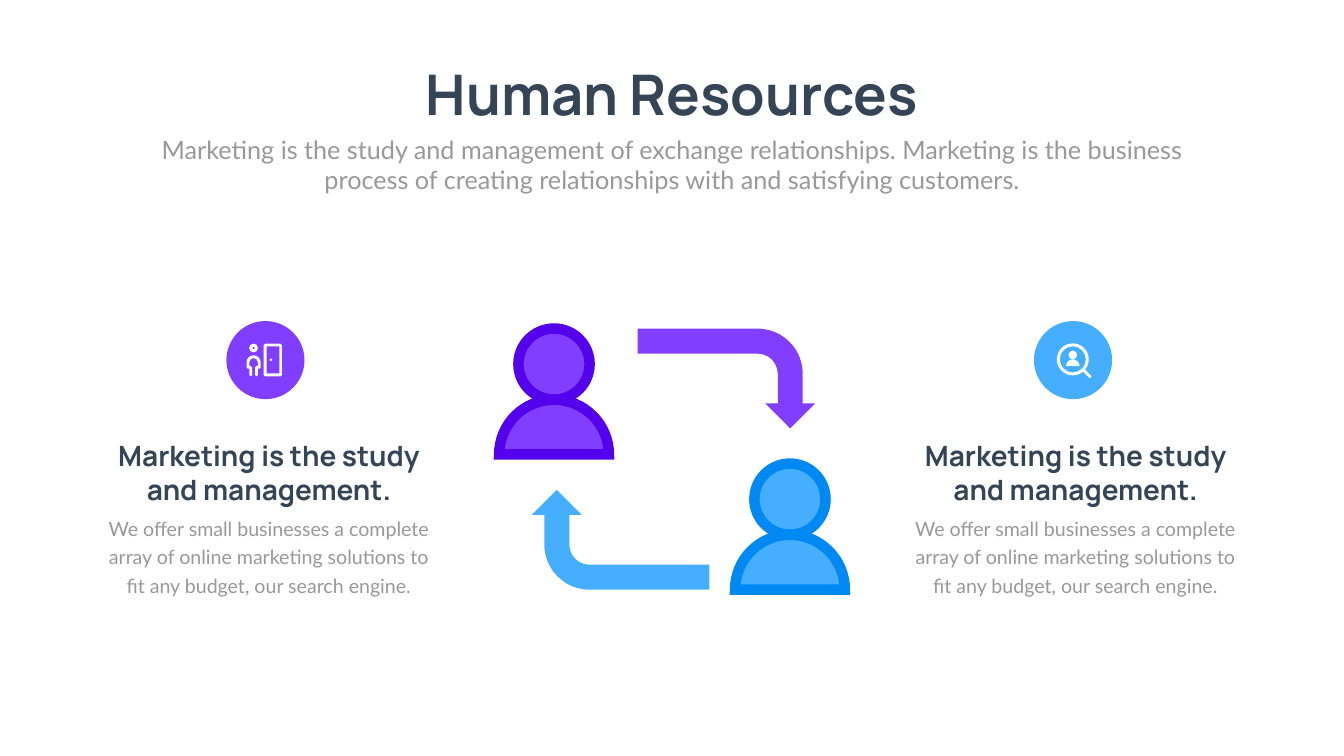
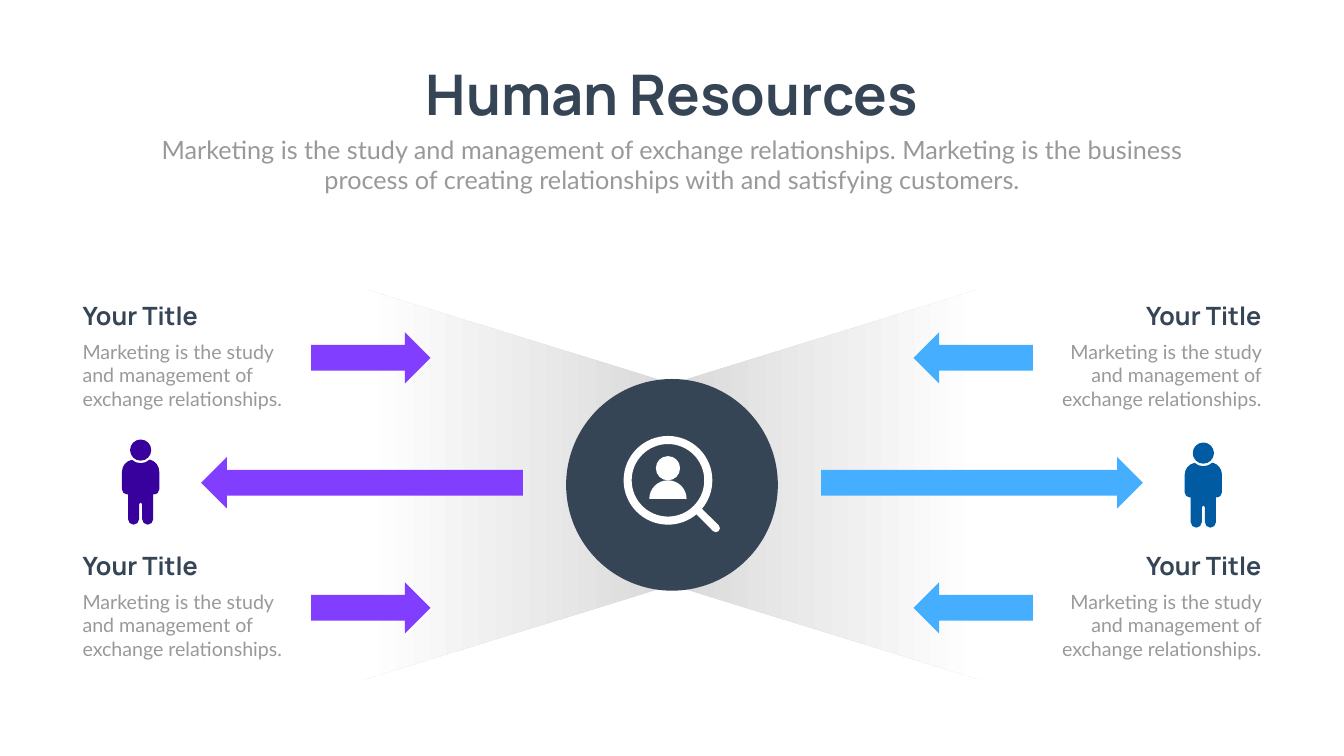
import math
from lxml import etree
from pptx import Presentation
from pptx import util as u
from pptx.dml.color import RGBColor
from pptx.enum import shapes, text
from pptx.oxml.ns import qn

PX = 9144  # EMU per px, 100 px to the inch
NAVY, GREY, WHITE = "364556", "999999", "FFFFFF"
PURPLE, BLUE = "823EFE", "45AEFF"
PURPLE_EDGE, BLUE_EDGE = "5401EC", "0089F3"
PURPLE_DARK, BLUE_DARK = "38019D", "005BA2"
KIND = shapes.MSO_SHAPE
LEFT, CENTER, RIGHT = text.PP_ALIGN.LEFT, text.PP_ALIGN.CENTER, text.PP_ALIGN.RIGHT
rgb = RGBColor.from_string


def draw(slide, what, place, fill, edge=None, turn=0, adjust=()):
    """Preset in a (left, top, width, height) box, or contours at (x, y, scale).

    A contour holds points (x, y) and arcs (x, y, radius, from, to), in degrees.
    """
    if isinstance(what, list):
        left, top, scale = place
        builder, sizes = None, []
        for contour in what:
            points = []
            for part in contour:
                if len(part) == 2:
                    sizes += [1] if points else []
                    points.append(part)
                    continue
                # One Bezier curve for each quadrant the arc crosses
                x, y, radius, start, end = part
                low, high = sorted((start, end))
                inner = [a for a in range(-360, 721, 90) if low < a < high]
                stops = sorted([low, *inner, high], reverse=start > end)
                first = (x + radius * math.cos(math.radians(start)),
                         y + radius * math.sin(math.radians(start)))
                if not points or math.dist(points[-1], first) > 2:
                    sizes += [1] if points else []
                    points.append(first)
                for a, b in zip(stops, stops[1:]):
                    a, b = math.radians(a), math.radians(b)
                    pull = 4 / 3 * math.tan((b - a) / 4)
                    for angle, along in ((a, pull), (b, -pull), (b, 0)):
                        points.append((
                            x + radius * (math.cos(angle) - along * math.sin(angle)),
                            y + radius * (math.sin(angle) + along * math.cos(angle))))
                    sizes.append(3)
            points = [((left + x * scale) * PX, (top + y * scale) * PX) for x, y in points]
            if builder is None:
                builder = slide.shapes.build_freeform(*points[0], scale=1.0)
            else:
                builder.move_to(*points[0])
            builder.add_line_segments(points[1:], close=True)
        shape = builder.convert_to_shape()
        segments = iter(list(shape._element.iter(qn("a:lnTo"))))
        for size in sizes:
            group = [next(segments) for _ in range(size)]
            if size == 3:
                curve = etree.Element(qn("a:cubicBezTo"))
                group[0].addprevious(curve)
                for segment in group:
                    curve.append(segment[0])
                    segment.getparent().remove(segment)
    else:
        shape = slide.shapes.add_shape(what, *[v * PX for v in place])
    shape.shadow.inherit = False
    shape.rotation = turn
    for i, value in enumerate(adjust):
        shape.adjustments[i] = value
    if isinstance(fill, tuple):
        shape.fill.gradient()
        shape.fill.gradient_angle = 270
        for stop, color in zip(shape.fill.gradient_stops, fill):
            stop.color.rgb = rgb(color)
    else:
        shape.fill.solid()
        shape.fill.fore_color.rgb = rgb(fill)
    if edge:
        shape.line.color.rgb = rgb(edge)
        shape.line.width = u.Pt(15)
        etree.SubElement(shape.line._ln, qn("a:miter"), lim="800000")
    else:
        shape.line.fill.background()


def write(slide, words, box, size, font, color, align, spacing=None, wrap=True):
    frame = slide.shapes.add_textbox(*[v * PX for v in box]).text_frame
    frame.word_wrap = wrap
    frame.auto_size = text.MSO_AUTO_SIZE.SHAPE_TO_FIT_TEXT
    paragraph = frame.paragraphs[0]
    paragraph.alignment = align
    if spacing:
        paragraph.line_spacing = u.Pt(spacing)
    run = paragraph.add_run()
    run.text = words
    run.font.size = u.Pt(size)
    run.font.name = font
    run.font.bold = font == "Manrope"
    run.font.color.rgb = rgb(color)


# Icon outlines; each icon is a list of pieces, each piece a list of contours
bust = [
    [[(0, -24, 24, 0, 360)]],
    [[(0, 37, 37, 180, 360)]],
]
lens = [
    [(0, 0, 88, 50, 400), (95, 95, 8, -45, 135)],
    [(0, 0, 72, 360, 0)],
]
search = bust + [lens]
standing = [
    [[(0, 0, 21, 0, 360)]],
    [[(0, 0, 26, 48, 132), (-12, 43, 25, 254, 180), (-27, 78, 10, 180, 90),
      (-25, 88), (-14, 137, 11, 180, 0), (0, 107, 3, 180, 360),
      (14, 137, 11, 180, 0), (25, 88), (27, 78, 10, 90, 0), (12, 43, 25, 0, -74)]],
]
leaving = [
    [[(0, 0, 87, 0, 360)], [(0, 0, 30, 360, 0)]],
    [[(0, 285, 140, 180, 360), (115, 385, 25, 0, 90), (85, 410),
      (57, 535, 28, 0, 180), (57, 385, 28, 180, 270), (85, 357),
      (0, 285, 85, 360, 180), (-85, 357), (-57, 385, 28, 270, 360),
      (-57, 535, 28, 0, 180), (-85, 410), (-115, 385, 25, 90, 180)]],
    [[(228, -57, 28, 180, 270), (532, -57, 28, 270, 360),
      (532, 537, 28, 0, 90), (228, 537, 28, 90, 180)],
     [(260, -35), (260, 505), (510, 505), (510, -35)]],
    [[(345, 235, 28, 0, 360)]],
]

deck = Presentation()
deck.slide_width, deck.slide_height = 2666 * PX, 1500 * PX

# Heading shared by both slides
exchange, selection = [deck.slides.add_slide(deck.slide_layouts[6]) for _ in range(2)]
for slide in (exchange, selection):
    write(slide, "Human Resources", (797, 114, 1072, 145), 80, "Manrope", NAVY, CENTER, wrap=False)
    write(slide, "Marketing is the study and management of exchange relationships. "
          "Marketing is the business process of creating relationships with and "
          "satisfying customers.", (292, 261, 2082, 131), 36, "Lato", GREY, CENTER)

# Slide 1: two people and the arrows between them
for x, y, fill, edge, arrow_left, arrow_top, turn in (
    (1099, 793, PURPLE, PURPLE_EDGE, 1342, 575, 90),
    (1567, 1061, BLUE, BLUE_EDGE, 1132, 895, 270),
):
    for piece in bust:
        draw(exchange, piece, (x, y, 2.94), fill, edge)
    draw(exchange, KIND.BENT_ARROW, (arrow_left, arrow_top, 198, 352), fill,
         turn=turn, adjust=(0.25, 0.25, 0.25, 0.453))

# Slide 1: headline and text on each side
for column in (185, 1785):
    write(exchange, "Marketing is the study and management.",
          (column + 6, 865, 685, 145), 40, "Manrope", NAVY, CENTER)
    write(exchange, "We offer small businesses a complete array of online marketing "
          "solutions to fit any budget, our search engine.",
          (column, 1010, 696, 175), 28, "Lato", GREY, CENTER, spacing=40.8)

# Slide 1: badges above the headlines
for badge, color, icon, place in (
    (449, PURPLE, leaving, (503, 690.5, 0.1)),
    (2051, BLUE, search, (2128, 713, 0.36)),
):
    draw(exchange, KIND.OVAL, (badge, 637, 155, 155), color)
    for piece in icon:
        draw(exchange, piece, place, WHITE)

# Slide 2: fading beams behind the central search disc
for left, turn in ((645, 90), (1245, 270)):
    draw(selection, KIND.TRAPEZOID, (left, 648, 776, 626), ("D9D9D9", WHITE),
         turn=turn, adjust=(0.307,))
draw(selection, KIND.OVAL, (1123, 752, 420, 420), NAVY)
for piece in search:
    draw(selection, piece, (1325, 953, 1), WHITE)

# Slide 2: each side has two inputs, one long output arrow and a person
for column, align, inward, short_left, outward, long_left, color, dark, x, y in (
    (154, LEFT, KIND.RIGHT_ARROW, 617, KIND.LEFT_ARROW, 399, PURPLE, PURPLE_DARK, 279, 893),
    (2092, RIGHT, KIND.LEFT_ARROW, 1812, KIND.RIGHT_ARROW, 1629, BLUE, BLUE_DARK, 2387, 899),
):
    for top in (591, 1087):
        draw(selection, inward, (short_left, top + 68, 237, 102), color)
        write(selection, "Your Title", (column, top, 420, 71), 36, "Manrope", NAVY, align)
        write(selection, "Marketing is the study and management of exchange relationships.",
              (column, top + 78, 420, 151), 28, "Lato", GREY, align)
    draw(selection, outward, (long_left, 907, 638, 102), color)
    for piece in standing:
        draw(selection, piece, (x, y, 1), dark)

deck.save("out.pptx")
